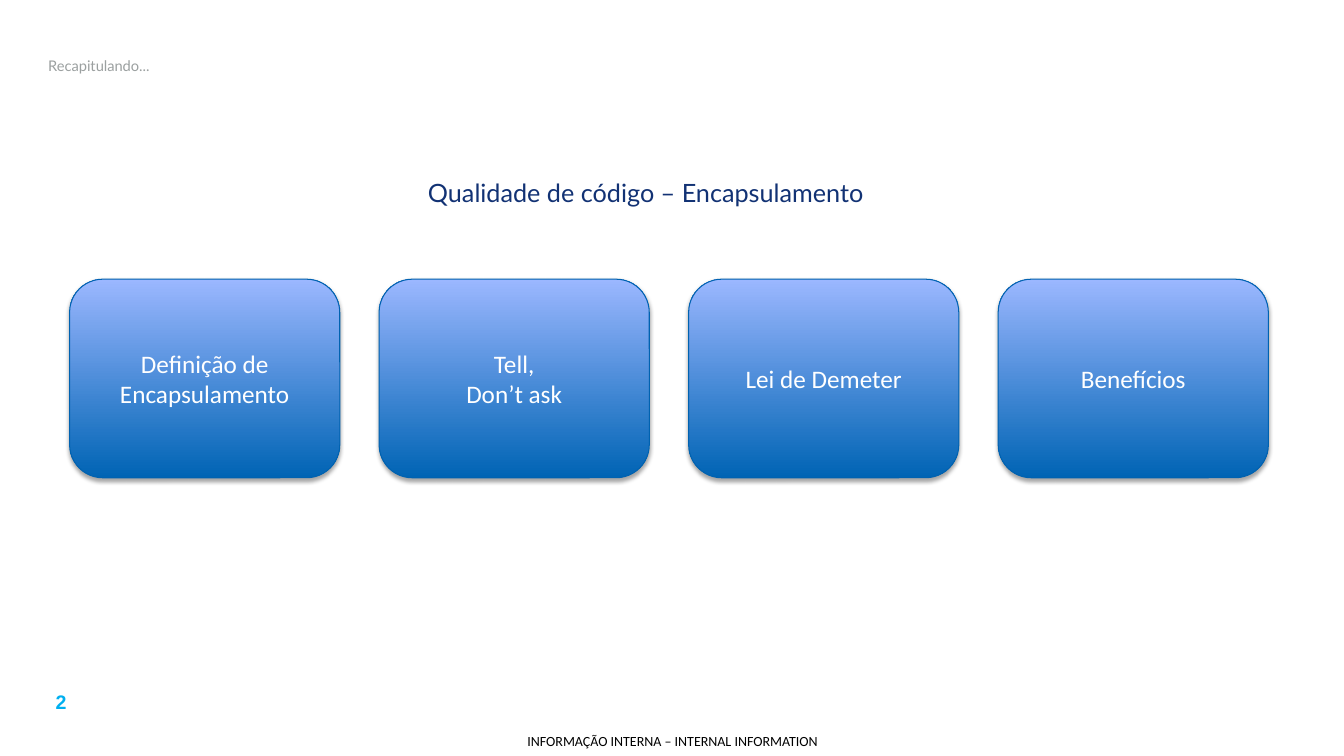
from lxml import etree
from pptx import Presentation
from pptx.dml.color import RGBColor as RGB
from pptx.enum.shapes import MSO_SHAPE as SHAPE
from pptx.enum.text import MSO_ANCHOR as ANCHOR, PP_ALIGN as ALIGN
from pptx.oxml import parse_xml
from pptx.oxml.ns import nsdecls
from pptx.util import Inches, Pt

COLORS = {
    "page": "00B0F0", "footer": "000000", "heading": "123274",
    "title": "9BA0A0", "bottom": "0064B4", "top": "9BB7FF",
    "line": "0062B0", "label": "FFFFFF", "shadow": "000000",
}
SHADOW = (
    f'<a:outerShdw {nsdecls("a")} blurRad="{Pt(3.1)}" dist="{Pt(1.8)}" dir="5400000" '
    f'rotWithShape="0"><a:srgbClr val="{COLORS["shadow"]}"><a:alpha val="35000"/>'
    '</a:srgbClr></a:outerShdw>'
)


def write(shape, text, size, font, color, align=ALIGN.CENTER, anchor=ANCHOR.MIDDLE, bold=False):
    tf = shape.text_frame
    tf.text = text
    tf.word_wrap = True
    tf.vertical_anchor = anchor
    for p in tf.paragraphs:
        p.alignment = align
        for r in p.runs:
            r.font.size = Pt(size)
            r.font.name = font
            r.font.bold = bold
            r.font.color.rgb = RGB.from_string(COLORS[color])
    return tf


def add_text(left, top, width, height, *style, **options):
    box = s.shapes.add_textbox(Inches(left), Inches(top), Inches(width), Inches(height))
    return write(box, *style, **options)


prs = Presentation()
prs.slide_width = Inches(13.33)
prs.slide_height = Inches(7.5)
s = prs.slides.add_slide(prs.slide_layouts[6])

add_text(0.21, 6.8, 0.79, 0.34, "2", 14, "Arial", "page", anchor=ANCHOR.TOP, bold=True)
tf = add_text(5.03, 7.21, 3.28, 0.29, "INFORMAÇÃO INTERNA – INTERNAL INFORMATION",
              10, "Calibri", "footer")
tf.margin_left = tf.margin_right = tf.margin_top = tf.margin_bottom = 0
add_text(0.37, 1.56, 12.07, 0.69, "Qualidade de código – Encapsulamento", 18, "Lato", "heading")
add_text(0.38, 0.41, 11.88, 0.48, "Recapitulando...", 10.5, "Lato", "title", align=ALIGN.LEFT)

LEFT, TOP, WIDTH, HEIGHT, PITCH = 0.69, 2.77, 2.68, 1.97, 3.07
topics = ["Definição de Encapsulamento", "Tell,\nDon’t ask", "Lei de Demeter", "Benefícios"]
for i, topic in enumerate(topics):
    sp = s.shapes.add_shape(SHAPE.ROUNDED_RECTANGLE, Inches(LEFT + i * PITCH), Inches(TOP),
                            Inches(WIDTH), Inches(HEIGHT))
    sp.fill.gradient()
    sp.fill.gradient_angle = 90
    for stop, name, position in zip(sp.fill.gradient_stops, ("bottom", "top"), (0, 1)):
        stop.color.rgb = RGB.from_string(COLORS[name])
        stop.position = position
    sp.line.color.rgb = RGB.from_string(COLORS["line"])
    sp.line.width = Pt(0.75)
    sp.shadow.inherit = False
    effects = sp.element.spPr.find("{*}effectLst")
    effects.append(parse_xml(SHADOW))
    write(sp, topic, 18, "Calibri", "label")

prs.save("out.pptx")
